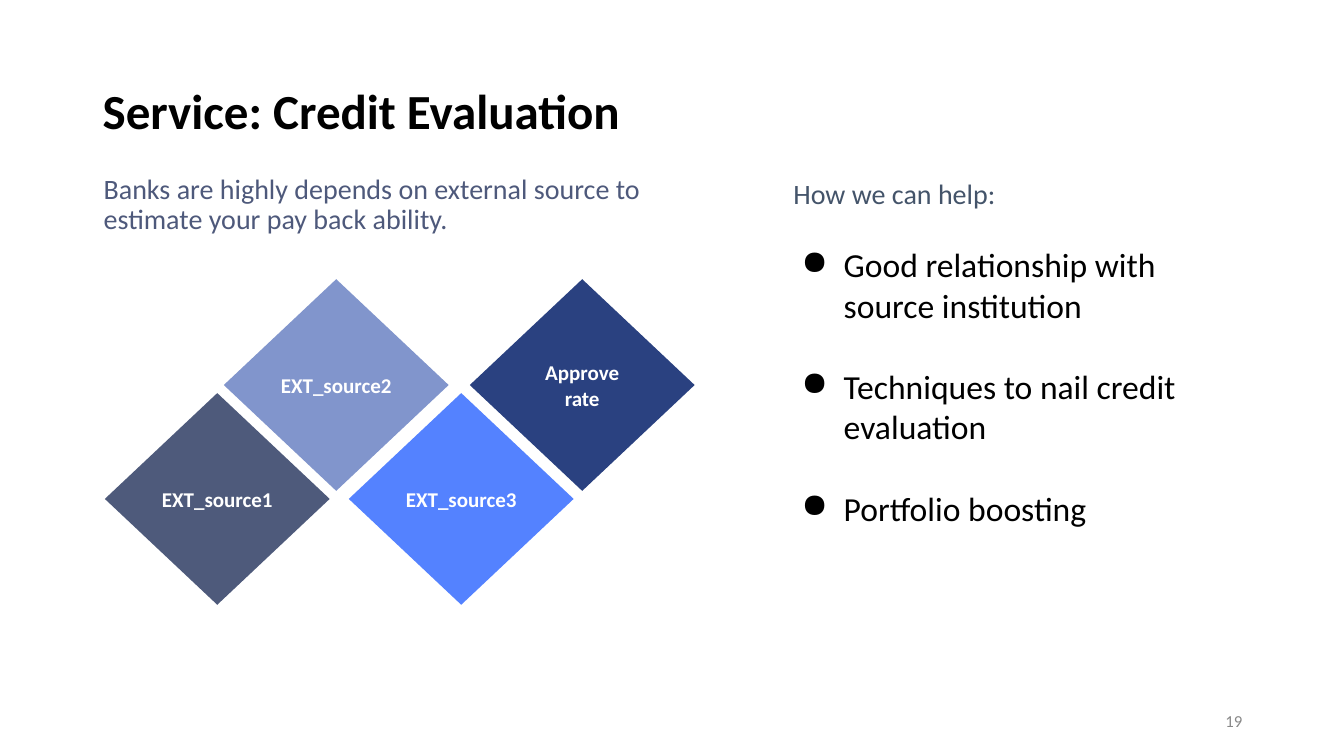
import pptx
import pptx.util
import pptx.dml.color
import pptx.enum.shapes
import pptx.enum.text
import pptx.oxml.ns
import lxml.etree

Inches = pptx.util.Inches
Pt = pptx.util.Pt
RGB = pptx.dml.color.RGBColor.from_string
ALIGN = pptx.enum.text.PP_ALIGN
ANCHOR = pptx.enum.text.MSO_ANCHOR
COLORS = {
    "black": "000000", "white": "FFFFFF", "gray": "888888",
    "lead": "4E597B", "help": "44546A",
    "slate": "4E5A7B", "mist": "8195CC", "blue": "5482FF", "navy": "2A4180",
}


def write(shape, text, size, color, bold=False, align=ALIGN.LEFT, anchor=ANCHOR.TOP,
          inset=(0.1, 0.05), line=1.0, before=0, bullet=None):
    """Fill the first paragraph of a shape, or add one below its text."""
    frame = shape.text_frame
    frame.word_wrap = True
    frame.vertical_anchor = anchor
    frame.margin_left = frame.margin_right = Inches(inset[0])
    frame.margin_top = frame.margin_bottom = Inches(inset[1])
    para = frame.add_paragraph() if frame.text else frame.paragraphs[0]
    para.alignment = align
    para.line_spacing = line
    para.space_before = Pt(before)
    run = para.add_run()
    run.text = text
    run.font.name = "Calibri"
    run.font.size = Pt(size)
    run.font.bold = bold
    run.font.color.rgb = RGB(COLORS[color])
    if bullet:
        props = para._p.get_or_add_pPr()
        props.set("marL", str(Inches(0.5)))
        props.set("indent", str(Inches(-0.42)))
        qn = pptx.oxml.ns.qn
        tint = lxml.etree.SubElement(props, qn("a:buClr"))
        lxml.etree.SubElement(tint, qn("a:srgbClr")).set("val", COLORS[color])
        lxml.etree.SubElement(props, qn("a:buChar")).set("char", bullet)


deck = pptx.Presentation()
deck.slide_width = Inches(13.33)
deck.slide_height = Inches(7.5)
slide = deck.slides.add_slide(deck.slide_layouts[6])
shapes = slide.shapes

# Title, lead and page number
title = shapes.add_textbox(Inches(0.92), Inches(0.4), Inches(11.5), Inches(1.45))
write(title, "Service: Credit Evaluation", 35, "black", bold=True,
      anchor=ANCHOR.MIDDLE, line=0.9)
lead = shapes.add_textbox(Inches(0.93), Inches(1.69), Inches(6.1), Inches(1.61))
write(lead, "Banks are highly depends on external source to estimate your pay back ability.",
      20, "lead", line=0.9)
page = shapes.add_textbox(Inches(9.42), Inches(6.95), Inches(3), Inches(0.4))
write(page, "19", 12, "gray", align=ALIGN.RIGHT, anchor=ANCHOR.MIDDLE)

# Ways to help
ways = shapes.add_textbox(Inches(7.77), Inches(1.65), Inches(4.64), Inches(4.41))
write(ways, "How we can help:", 20, "help", inset=(0.1, 0.1))
for text, gap in [
    ("Good relationship with source institution", 24.4),
    ("Techniques to nail credit evaluation", 29.3),
    ("Portfolio boosting", 29.3),
]:
    write(ways, text, 24, "black", inset=(0.1, 0.1), before=gap, bullet="●")

# Diamonds, alternating between the low and the high row
HIGH, LOW = 2.77, 3.9
for text, left, top, color in [
    ("EXT_source1", 1.04, LOW, "slate"),
    ("EXT_source2", 2.22, HIGH, "mist"),
    ("EXT_source3", 3.46, LOW, "blue"),
    ("Approve rate", 4.66, HIGH, "navy"),
]:
    gem = shapes.add_shape(pptx.enum.shapes.MSO_SHAPE.DIAMOND,
                           Inches(left), Inches(top), Inches(2.23), Inches(2.1))
    gem.shadow.inherit = False
    gem.fill.solid()
    gem.fill.fore_color.rgb = RGB(COLORS[color])
    gem.line.fill.background()
    write(gem, text, 15, "white", bold=True, align=ALIGN.CENTER,
          anchor=ANCHOR.MIDDLE, inset=(0, 0))

deck.save("out.pptx")
